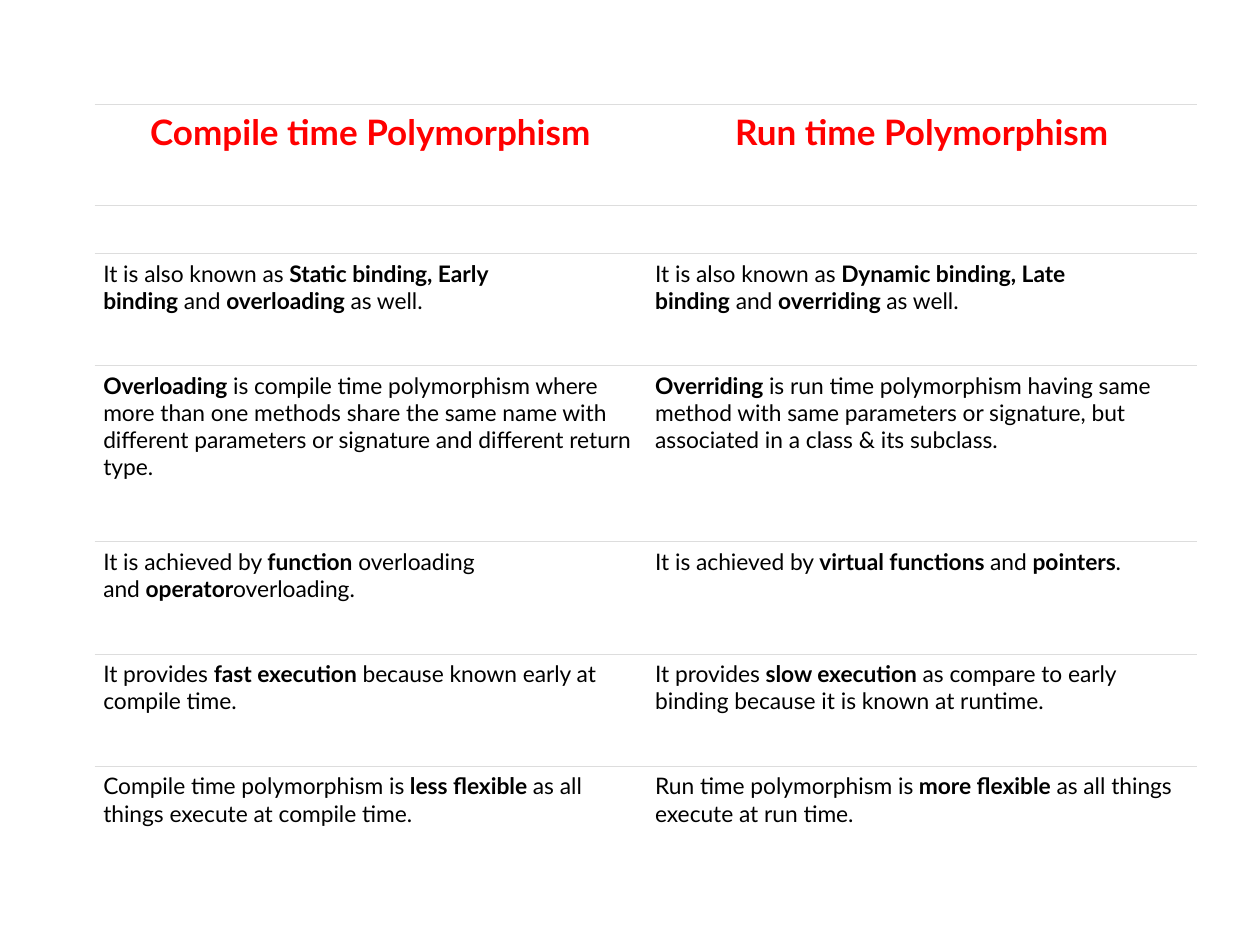
from lxml.etree import SubElement
from pptx import Presentation
from pptx.dml.color import RGBColor as Rgb
from pptx.enum.text import PP_ALIGN as Align
from pptx.oxml import parse_xml
from pptx.oxml.ns import nsdecls, qn
from pptx.util import Inches, Pt

COLORS = {"paper": "FFFFFF", "rule": "DDDDDD", "heading": "FF0000", "body": "000000"}
FONT = "Lato"
NO_STYLE = "{2D5ABB26-0587-4C30-8999-92F81FD0307C}"
COLUMN_WIDTHS = [4.38, 4.37]
ROW_HEIGHTS = [0.8, 0.38, 0.89, 1.4, 0.89, 0.89, 0.89]
HEADINGS = ("Compile time Polymorphism", "Run time Polymorphism")
COMPARISONS = [
    ("It is also known as~*Static binding, Early binding*~and~*overloading*~as well.",
     "It is also known as~*Dynamic binding, Late binding*~and~*overriding*~as well."),
    ("*Overloading*~is compile time polymorphism where more than one methods share "
     "the same name with different parameters or signature and different return type.",
     "*Overriding*~is run time polymorphism having same method with same parameters "
     "or signature, but associated in a class & its subclass."),
    ("It is achieved by~*function*~overloading and~*operator*overloading.",
     "It is achieved by~*virtual functions*~and~*pointers*."),
    ("It provides~*fast~execution*~because known early at compile time.",
     "It provides~*slow~execution*~as compare to early binding because it is known at runtime."),
    ("Compile time polymorphism is~*less flexible*~as all things execute at compile time.",
     "Run time polymorphism is~*more flexible*~as all things execute at run time."),
]


def add_span(para, text, size, color, bold):
    span = para.add_run()
    span.text = text.replace("~", chr(160))
    span.font.name = FONT
    span.font.size = Pt(size)
    span.font.bold = bold
    span.font.color.rgb = Rgb.from_string(COLORS[color])


def style_cell(cell):
    cell.margin_left = cell.margin_right = Inches(0.07)
    cell.margin_top = cell.margin_bottom = Inches(0.05)
    cell.fill.solid()
    cell.fill.fore_color.rgb = Rgb.from_string(COLORS["paper"])
    rule = parse_xml(
        f'<a:lnT {nsdecls("a")} w="4318"><a:solidFill>'
        f'<a:srgbClr val="{COLORS["rule"]}"/></a:solidFill></a:lnT>')
    cell._tc.get_or_add_tcPr().insert(0, rule)


def fill_heading(cell, text):
    para = cell.text_frame.paragraphs[0]
    para.alignment = Align.CENTER
    add_span(para, text, 20, "heading", True)


def fill_body(cell, text):
    para = cell.text_frame.paragraphs[0]
    for index, part in enumerate(text.split("*")):
        if part:
            add_span(para, part, 13, "body", index % 2 == 1)


def add_comparison_table(page, left, top, width, height):
    frame = page.shapes.add_table(
        len(ROW_HEIGHTS), len(COLUMN_WIDTHS), left, top, width, height)
    table = frame.table
    table.first_row = table.horz_banding = False
    properties = table._tbl.tblPr
    style = properties.find(qn("a:tableStyleId"))
    if style is None:
        style = SubElement(properties, qn("a:tableStyleId"))
    style.text = NO_STYLE
    for column, column_width in zip(table.columns, COLUMN_WIDTHS):
        column.width = Inches(column_width)
    for row, row_height in zip(table.rows, ROW_HEIGHTS):
        row.height = Inches(row_height)
    for cell in table.iter_cells():
        style_cell(cell)
    for column, heading in enumerate(HEADINGS):
        fill_heading(table.cell(0, column), heading)
        table.cell(1, column).text_frame.paragraphs[0].font.size = Pt(13)
    for row, texts in enumerate(COMPARISONS, start=2):
        for column, text in enumerate(texts):
            fill_body(table.cell(row, column), text)


def main():
    deck = Presentation()
    deck.slide_width, deck.slide_height = Inches(10), Inches(7.5)
    page = deck.slides.add_slide(deck.slide_layouts[6])
    add_comparison_table(
        page, Inches(0.75), Inches(0.83),
        Inches(sum(COLUMN_WIDTHS)), Inches(sum(ROW_HEIGHTS)))
    deck.save("out.pptx")


if __name__ == "__main__":
    main()
